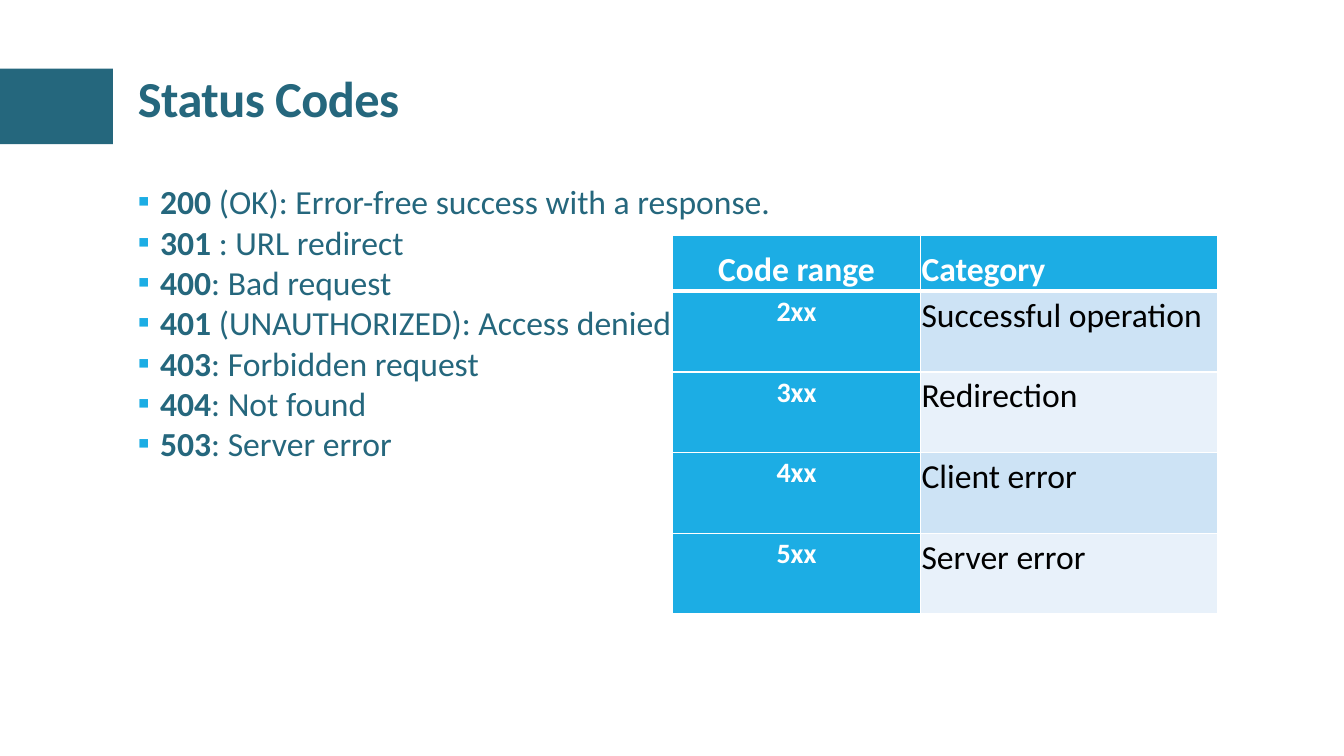
from lxml import etree
from pptx import Presentation
from pptx import util as u
from pptx.dml.color import RGBColor
from pptx.enum import shapes, text
from pptx.oxml import ns

TEAL, BLUE, WHITE, BLACK = "25677D", "1CADE4", "FFFFFF", "000000"
BANDS = ["CDE3F5", "E8F1FA"]


def color(hex_string):
    return RGBColor.from_string(hex_string)


def add_run(paragraph, words, size, hex_string, bold):
    run = paragraph.add_run()
    run.text = words
    run.font.name = "Calibri"
    run.font.size = u.Pt(size)
    run.font.bold = bold
    run.font.color.rgb = color(hex_string)
    return run


presentation = Presentation()
presentation.slide_width = u.Inches(13.33)
presentation.slide_height = u.Inches(7.5)
slide = presentation.slides.add_slide(presentation.slide_layouts[6])

# Accent block
accent = slide.shapes.add_shape(
    shapes.MSO_SHAPE.RECTANGLE, u.Inches(-0.01), u.Inches(0.68), u.Inches(1.13), u.Inches(0.75))
accent.shadow.inherit = False
accent.fill.solid()
accent.fill.fore_color.rgb = color(TEAL)
accent.line.fill.background()

# Title
title = slide.shapes.add_textbox(
    u.Inches(1.27), u.Inches(0.68), u.Inches(10.27), u.Inches(0.78)).text_frame
title.word_wrap = True
title.paragraphs[0].line_spacing = 0.9
title_run = add_run(title.paragraphs[0], "Status Codes", 36, TEAL, True)
title_run.font._element.set("spc", "-40")

# Bulleted status codes
statuses = [
    ("200", " (OK): Error-free success with a response."),
    ("301", " : URL redirect"),
    ("400", ": Bad request"),
    ("401", " (UNAUTHORIZED): Access denied"),
    ("403", ": Forbidden request"),
    ("404", ": Not found"),
    ("503", ": Server error"),
]
body = slide.shapes.add_textbox(
    u.Inches(1.27), u.Inches(1.75), u.Inches(11.24), u.Inches(5.15)).text_frame
body.word_wrap = True
for index, (code, meaning) in enumerate(statuses):
    paragraph = body.add_paragraph() if index else body.paragraphs[0]
    paragraph.line_spacing = u.Pt(28.8)
    properties = paragraph._p.get_or_add_pPr()
    properties.set("marL", str(u.Inches(0.22)))
    properties.set("indent", str(-u.Inches(0.22)))
    bullet_color = etree.SubElement(properties, ns.qn("a:buClr"))
    etree.SubElement(bullet_color, ns.qn("a:srgbClr"), val=BLUE)
    etree.SubElement(properties, ns.qn("a:buFont"), typeface="Calibri")
    etree.SubElement(properties, ns.qn("a:buChar"), char="▪")
    add_run(paragraph, code, 24, TEAL, True)
    add_run(paragraph, meaning, 24, TEAL, False)

# Code range table
rows = [
    ("Code range", "Category"),
    ("2xx", "Successful operation"),
    ("3xx", "Redirection"),
    ("4xx", "Client error"),
    ("5xx", "Server error"),
]
table = slide.shapes.add_table(
    len(rows), 2, u.Inches(6.67), u.Inches(2.34), u.Inches(5.4), u.Inches(3.74)).table
table.columns[0].width = u.Inches(2.46)
table.columns[1].width = u.Inches(2.95)
for row_index, row in enumerate(rows):
    header = row_index == 0
    table.rows[row_index].height = u.Inches(0.55 if header else 0.8)
    for column_index, words in enumerate(row):
        cell = table.cell(row_index, column_index)
        accented = header or column_index == 0
        cell.margin_left = cell.margin_right = u.Inches(0.01)
        cell.margin_top = cell.margin_bottom = u.Inches(0.01)
        cell.vertical_anchor = text.MSO_ANCHOR.BOTTOM if header else text.MSO_ANCHOR.TOP

        # White cell borders, thicker under the header
        widths = {"L": 1, "R": 1, "T": 3 if row_index == 1 else 1, "B": 3 if header else 1}
        for side, width in widths.items():
            border = etree.SubElement(
                cell._tc.get_or_add_tcPr(), ns.qn("a:ln" + side), w=str(u.Pt(width)))
            border_fill = etree.SubElement(border, ns.qn("a:solidFill"))
            etree.SubElement(border_fill, ns.qn("a:srgbClr"), val=WHITE)

        cell.fill.solid()
        cell.fill.fore_color.rgb = color(BLUE if accented else BANDS[(row_index - 1) % 2])
        paragraph = cell.text_frame.paragraphs[0]
        paragraph.alignment = text.PP_ALIGN.JUSTIFY if column_index else text.PP_ALIGN.CENTER
        paragraph.line_spacing = 1.07
        size = 24 if header or column_index else 20
        add_run(paragraph, words, size, WHITE if accented else BLACK, accented)

presentation.save("out.pptx")
